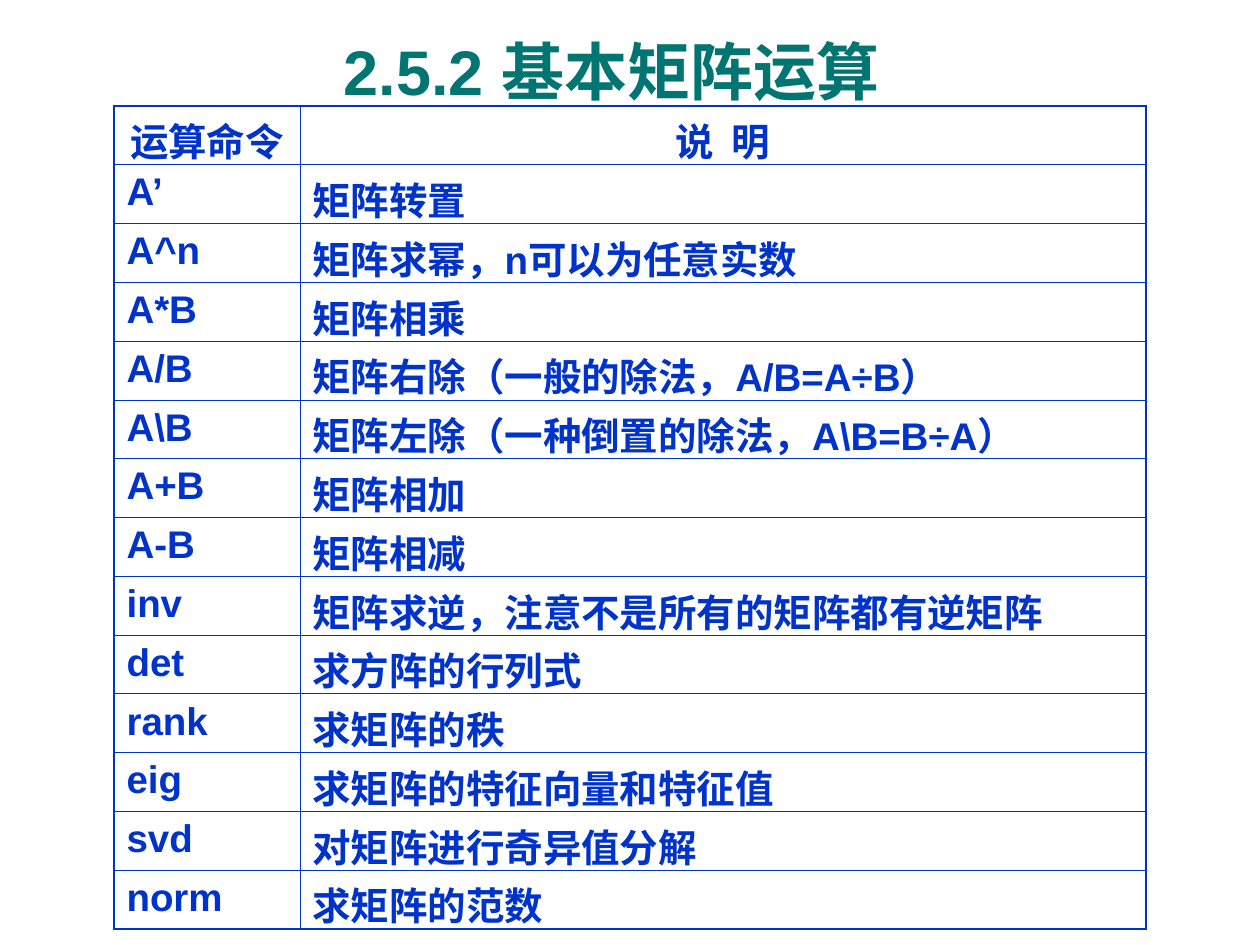
from pptx import Presentation
from pptx import util as u
from pptx.dml.color import RGBColor
from pptx.enum import text
from pptx.oxml.ns import qn
from lxml import etree

PX = 914400 / 126
TEAL, BLUE = "007572", "0033CC"
OUTER, INNER = 1.08, 0.45
COLUMN_WIDTHS = (186, 846)
TABLE_HEIGHT = 823
OPERATIONS = [
    ("运算命令", "说  明"),
    ("A’", "矩阵转置"),
    ("A^n", "矩阵求幂，n可以为任意实数"),
    ("A*B", "矩阵相乘"),
    ("A/B", "矩阵右除（一般的除法，A/B=A÷B）"),
    ("A\\B", "矩阵左除（一种倒置的除法，A\\B=B÷A）"),
    ("A+B", "矩阵相加"),
    ("A-B", "矩阵相减"),
    ("inv", "矩阵求逆，注意不是所有的矩阵都有逆矩阵"),
    ("det", "求方阵的行列式"),
    ("rank", "求矩阵的秩"),
    ("eig", "求矩阵的特征向量和特征值"),
    ("svd", "对矩阵进行奇异值分解"),
    ("norm", "求矩阵的范数"),
]


def px(n):
    return u.Emu(round(n * PX))


def write(frame, words, size, color, align):
    frame.text = words
    paragraph = frame.paragraphs[0]
    paragraph.alignment = align
    for run in paragraph.runs:
        run.font.name = "Arial"
        run.font.size = u.Pt(size)
        run.font.bold = True
        run.font.color.rgb = RGBColor.from_string(color)


def add_border(cell, side, width):
    line = etree.SubElement(cell._tc.get_or_add_tcPr(), qn(f"a:ln{side}"), w=str(u.Pt(width)))
    fill = etree.SubElement(line, qn("a:solidFill"))
    etree.SubElement(fill, qn("a:srgbClr"), val=BLUE)


def add_title(slide, words):
    title = slide.shapes.title
    title.left, title.top, title.width, title.height = map(px, (285, 26, 653, 88))
    frame = title.text_frame
    frame.vertical_anchor = text.MSO_ANCHOR.MIDDLE
    frame.word_wrap = True
    write(frame, words, 36, TEAL, text.PP_ALIGN.CENTER)


def add_operations_table(slide):
    last_row, last_column = len(OPERATIONS) - 1, len(COLUMN_WIDTHS) - 1
    table = slide.shapes.add_table(
        len(OPERATIONS), len(COLUMN_WIDTHS),
        px(114), px(106), px(sum(COLUMN_WIDTHS)), px(TABLE_HEIGHT)).table
    table.first_row = table.horz_banding = False
    for column, width in zip(table.columns, COLUMN_WIDTHS):
        column.width = px(width)

    for r, operation in enumerate(OPERATIONS):
        table.rows[r].height = px(TABLE_HEIGHT / len(OPERATIONS))
        for c, words in enumerate(operation):
            cell = table.cell(r, c)
            # The frame around the table is heavier than the grid
            on_edge = {"L": c == 0, "R": c == last_column, "T": r == 0, "B": r == last_row}
            for side, outer in on_edge.items():
                add_border(cell, side, OUTER if outer else INNER)
            cell.fill.background()
            # Tall line metrics reach below the row, so the inset is negative
            cell.margin_bottom = px(-5)
            align = text.PP_ALIGN.LEFT if r else text.PP_ALIGN.CENTER
            write(cell.text_frame, words, 22, BLUE, align)


def main():
    deck = Presentation()
    deck.slide_width, deck.slide_height = u.Inches(10), u.Inches(7.5)
    slide = deck.slides.add_slide(deck.slide_layouts[5])
    add_title(slide, "2.5.2 基本矩阵运算")
    add_operations_table(slide)
    deck.save("out.pptx")


if __name__ == "__main__":
    main()
